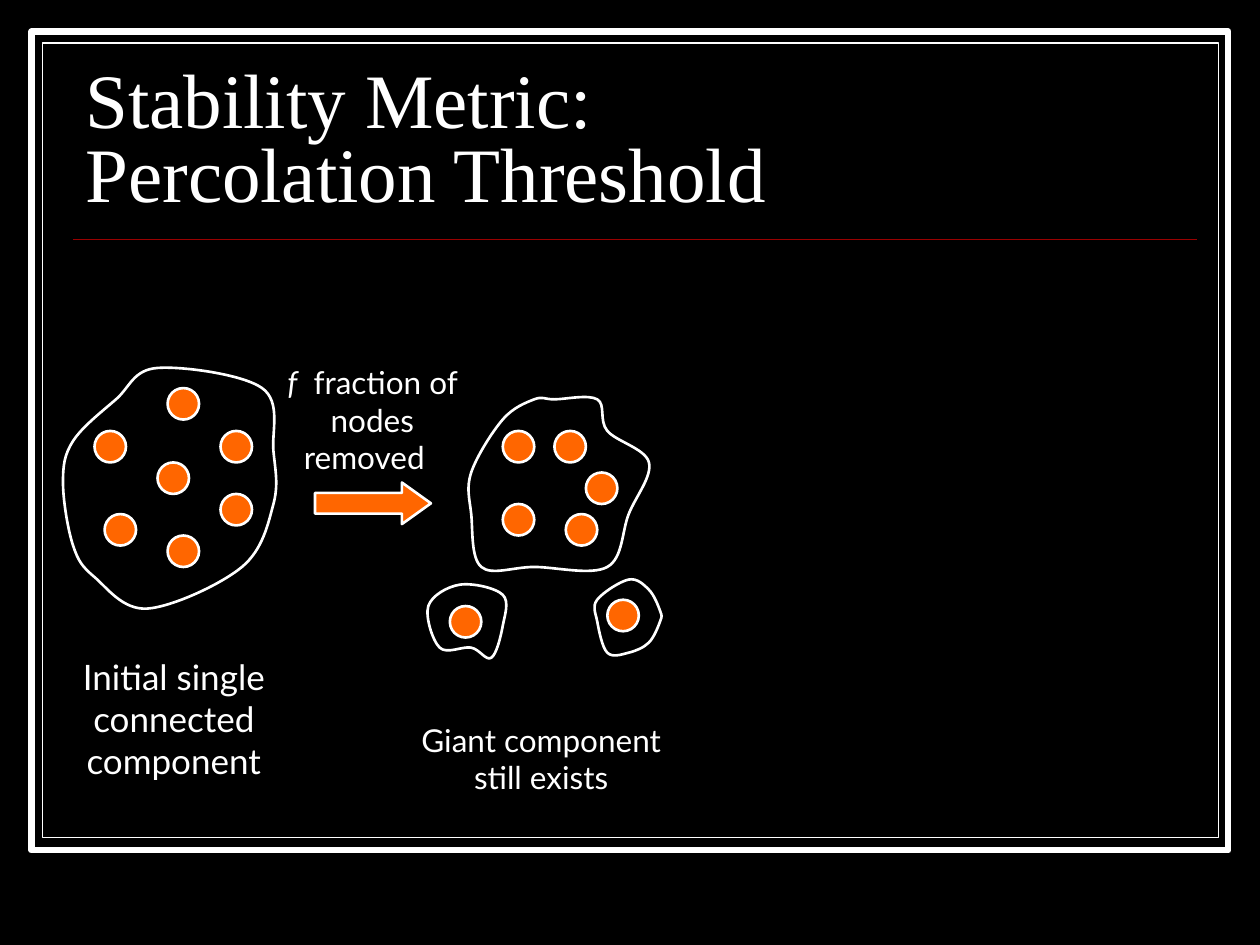
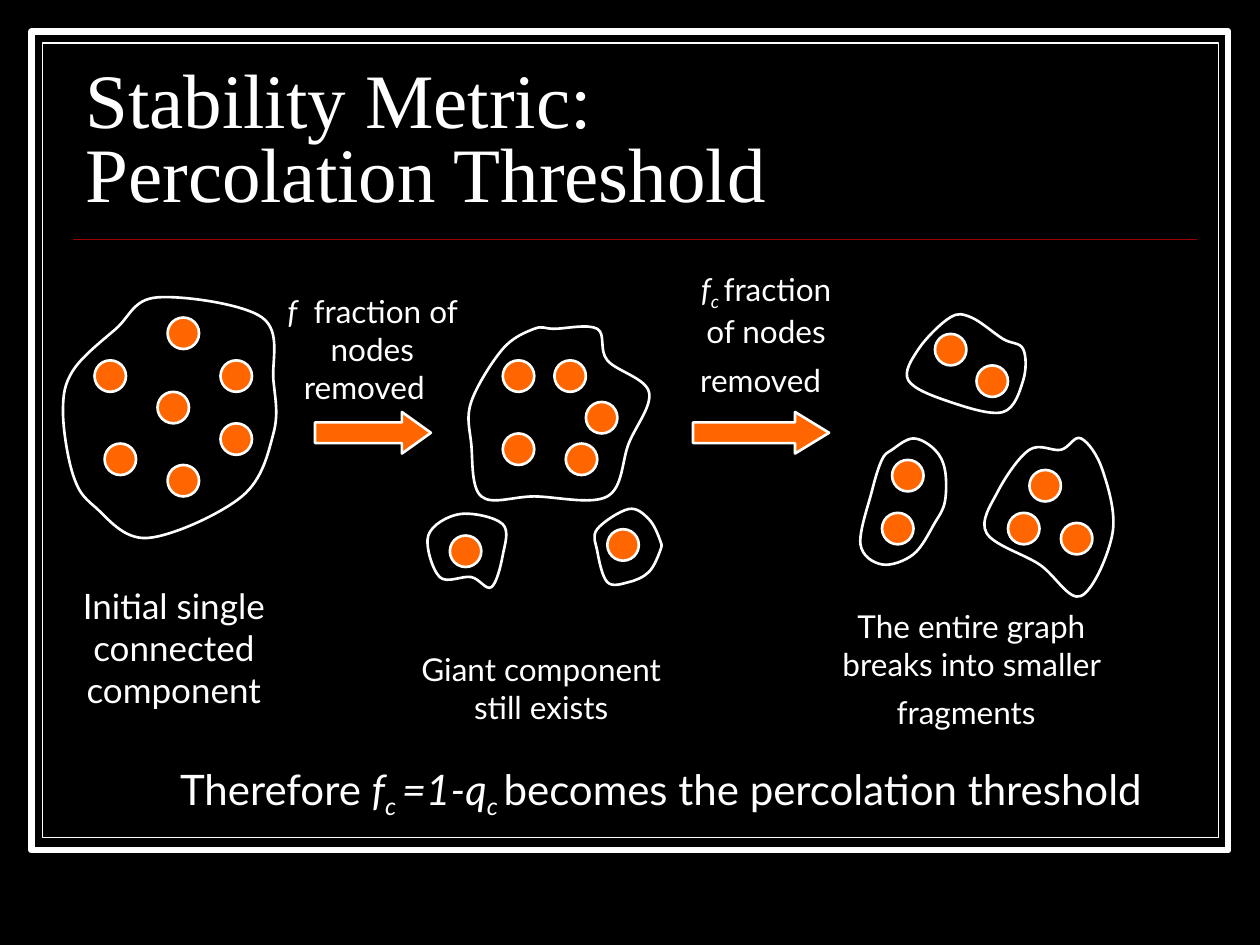
from lxml import etree
from pptx import Presentation
from pptx.dml.color import RGBColor
from pptx.enum.shapes import MSO_CONNECTOR, MSO_SHAPE
from pptx.enum.text import MSO_ANCHOR, MSO_AUTO_SIZE, PP_ALIGN
from pptx.oxml.ns import qn
from pptx.util import Inches, Pt

COLORS = {"ground": "000000", "ink": "FFFFFF", "node": "FF6600", "rule": "990000"}
TITLE_FONT = "Times New Roman"
BODY_FONT = "Lato"
NODE_SIZE = 0.25
LOWERED = 0.56  # the first slide holds the diagram this much lower

ITALIC = {"italic": True}
SUBSCRIPT = {"italic": True, "subscript": True}
LARGE = {"size": 24}

# A component is its outline's knots and the top left corners of its nodes.
WHOLE = [(
    [(0.92, 2.61), (0.58, 2.94), (0.5, 3.27), (0.58, 3.77), (0.75, 4.02),
     (1.17, 4.27), (1.92, 3.94), (2.17, 3.44), (2.17, 3.02), (2.08, 2.52),
     (1.25, 2.36)],
    [(1.75, 2.86), (1.75, 3.36), (1.33, 2.52), (0.75, 2.86), (1.33, 3.69),
     (0.83, 3.52), (1.25, 3.11)],
)]
GIANT_AND_STRAYS = [
    ([(4.4, 2.61), (4.24, 2.61), (3.99, 2.77), (3.74, 3.19), (3.74, 3.52),
      (3.82, 3.94), (4.24, 3.94), (4.82, 3.94), (4.99, 3.52), (5.15, 3.11),
      (4.82, 2.86), (4.74, 2.61)],
     [(3.99, 2.86), (3.99, 3.44), (4.4, 2.86), (4.65, 3.19), (4.49, 3.52)]),
    ([(3.65, 4.08), (3.4, 4.25), (3.49, 4.58), (3.74, 4.58), (3.9, 4.66),
      (3.99, 4.41), (3.99, 4.16)],
     [(3.57, 4.25)]),
    ([(4.99, 4.04), (4.74, 4.2), (4.74, 4.37), (4.82, 4.62), (4.99, 4.62),
      (5.15, 4.54), (5.24, 4.37), (5.24, 4.29), (5.15, 4.12)],
     [(4.82, 4.2)]),
]
FRAGMENTS = [
    ([(7.71, 2.52), (7.54, 2.52), (7.29, 2.77), (7.21, 3.02), (7.54, 3.19),
      (7.96, 3.27), (8.12, 3.02), (8.12, 2.77), (7.96, 2.69)],
     [(7.75, 2.9), (7.42, 2.65)]),
    ([(7.08, 3.57), (7, 3.65), (6.92, 3.9), (6.83, 4.32), (7, 4.48),
      (7.25, 4.4), (7.42, 4.15), (7.5, 3.98), (7.5, 3.73), (7.42, 3.57),
      (7.25, 3.48)],
     [(7.08, 3.65), (7, 4.07)]),
    ([(8.17, 3.57), (7.92, 3.9), (7.83, 4.23), (8.25, 4.48), (8.58, 4.73),
      (8.83, 4.23), (8.75, 3.73), (8.58, 3.48), (8.42, 3.57)],
     [(8.17, 3.73), (8, 4.07), (8.42, 4.15)]),
]


def color(name):
    return RGBColor.from_string(COLORS[name])


def paint(shape, fill, line_width=1.5):
    shape.shadow.inherit = False
    shape.fill.solid()
    shape.fill.fore_color.rgb = color(fill)
    shape.line.color.rgb = color("ink")
    shape.line.width = Pt(line_width)


def add_painted(shapes, kind, box, fill, line_width=1.5):
    shape = shapes.add_shape(kind, *map(Inches, box))
    paint(shape, fill, line_width)
    return shape


def add_run(paragraph, text, font, size, italic=False, subscript=False):
    run = paragraph.add_run()
    run.text = text
    run.font.name = font
    run.font.size = Pt(size)
    run.font.italic = italic
    run.font.color.rgb = color("ink")
    if subscript:
        run.font._element.set("baseline", "-25000")


def add_text_box(slide, box):
    frame = slide.shapes.add_textbox(*map(Inches, box)).text_frame
    frame.word_wrap = True
    return frame


def add_title(slide, lines):
    frame = add_text_box(slide, (0.58, 0.52, 8.92, 1.25))
    frame.vertical_anchor = MSO_ANCHOR.BOTTOM
    paragraph = frame.paragraphs[0]
    paragraph.line_spacing = 0.8
    for index, line in enumerate(lines):
        if index:
            paragraph.add_line_break()
        add_run(paragraph, line, TITLE_FONT, 44)


def add_caption(slide, box, size, *runs):
    """Each run is a text and the style in which it differs from the caption."""
    frame = add_text_box(slide, box)
    frame.auto_size = MSO_AUTO_SIZE.SHAPE_TO_FIT_TEXT
    paragraph = frame.paragraphs[0]
    paragraph.alignment = PP_ALIGN.CENTER
    for text, style in runs:
        add_run(paragraph, text, BODY_FONT, **{"size": size, **style})


def curve_points(knots):
    """Bezier points of the closed spline that passes through the knots."""
    count = len(knots)

    def control(index, direction):
        before, here, after = (knots[(index + step) % count] for step in (-1, 0, 1))
        return tuple(h + direction * (a - b) / 6
                     for b, h, a in zip(before, here, after))

    points = []
    for index in range(count):
        following = (index + 1) % count
        points += [control(index, 1), control(following, -1), knots[following]]
    return points


def add_outline(shapes, knots):
    def to_emu(point):
        return tuple(Inches(value) for value in point)

    builder = shapes.build_freeform(*to_emu(knots[0]))
    builder.add_line_segments([to_emu(point) for point in curve_points(knots)])
    shape = builder.convert_to_shape()
    paint(shape, "ground")

    # Every three straight segments become one cubic curve.
    segments = shape._element.xpath(".//a:lnTo")
    outline = segments[0].getparent()
    for start in range(0, len(segments), 3):
        curve = etree.SubElement(outline, qn("a:cubicBezTo"))
        for segment in segments[start:start + 3]:
            curve.append(segment[0])
            outline.remove(segment)
    outline.append(outline.find(qn("a:close")))


def add_components(slide, components, drop):
    group = slide.shapes.add_group_shape().shapes
    for knots, nodes in components:
        add_outline(group, [(x, y + drop) for x, y in knots])
        for x, y in nodes:
            box = (x, y + drop, NODE_SIZE, NODE_SIZE)
            add_painted(group, MSO_SHAPE.OVAL, box, "node")


def add_removal_arrow(slide, left, top, width):
    height = 0.33
    arrow = add_painted(slide.shapes, MSO_SHAPE.RIGHT_ARROW,
                        (left, top, width, height), "node")
    arrow.adjustments[1] = width / 4 / height  # the head takes a quarter


def add_frame(slide):
    group = slide.shapes.add_group_shape().shapes
    add_painted(group, MSO_SHAPE.RECTANGLE, (0.25, 0.25, 9.5, 6.5), "ground", 3.5)
    add_painted(group, MSO_SHAPE.RECTANGLE, (0.34, 0.34, 9.33, 6.31), "ground", 0.75)
    rule = group.add_connector(MSO_CONNECTOR.STRAIGHT,
                               *map(Inches, (0.58, 1.9, 9.5, 1.9)))
    rule.line.color.rgb = color("rule")
    rule.line.width = Pt(1)
    etree.SubElement(rule._element.spPr, qn("a:effectLst"))


def add_threshold_slide(deck, drop=0):
    """A slide with the frame, the title and the first removal step."""
    slide = deck.slides.add_slide(deck.slide_layouts[6])
    slide.background.fill.solid()
    slide.background.fill.fore_color.rgb = color("ground")
    add_frame(slide)
    add_title(slide, ["Stability Metric:", "Percolation Threshold"])
    add_components(slide, WHOLE, drop)
    add_removal_arrow(slide, 2.5, 3.27 + drop, 0.92)
    add_components(slide, GIANT_AND_STRAYS, drop)
    add_caption(slide, (0.17, 4.59 + drop, 2.42, 1.1), 20,
                ("Initial single connected component", {}))
    add_caption(slide, (2.08, 2.27 + drop, 1.75, 1), 18,
                ("f", ITALIC), ("  fraction of nodes removed  ", {}))
    add_caption(slide, (3.17, 5.11 + drop, 2.25, 0.7), 18,
                ("Giant component still exists", {}))
    return slide


def add_breakdown(slide):
    add_removal_arrow(slide, 5.5, 3.27, 1.08)
    add_components(slide, FRAGMENTS, 0)
    add_caption(slide, (5.33, 2.09, 1.5, 1.14), 18,
                ("f", ITALIC), ("c ", SUBSCRIPT),
                ("fraction of nodes removed", {}), (" ", LARGE))
    add_caption(slide, (6.5, 4.77, 2.42, 1.1), 18,
                ("The entire graph breaks into smaller fragments", {}), (" ", LARGE))
    add_caption(slide, (1.05, 6.01, 8.39, 0.96), 24,
                ("Therefore ", {}), ("f", ITALIC), ("c ", SUBSCRIPT),
                ("=1-q", ITALIC), ("c ", SUBSCRIPT),
                ("becomes the percolation threshold", {}))


def main():
    deck = Presentation()
    deck.slide_width, deck.slide_height = Inches(10), Inches(7.5)
    add_threshold_slide(deck, LOWERED)
    add_breakdown(add_threshold_slide(deck))
    deck.save("out.pptx")


if __name__ == "__main__":
    main()
